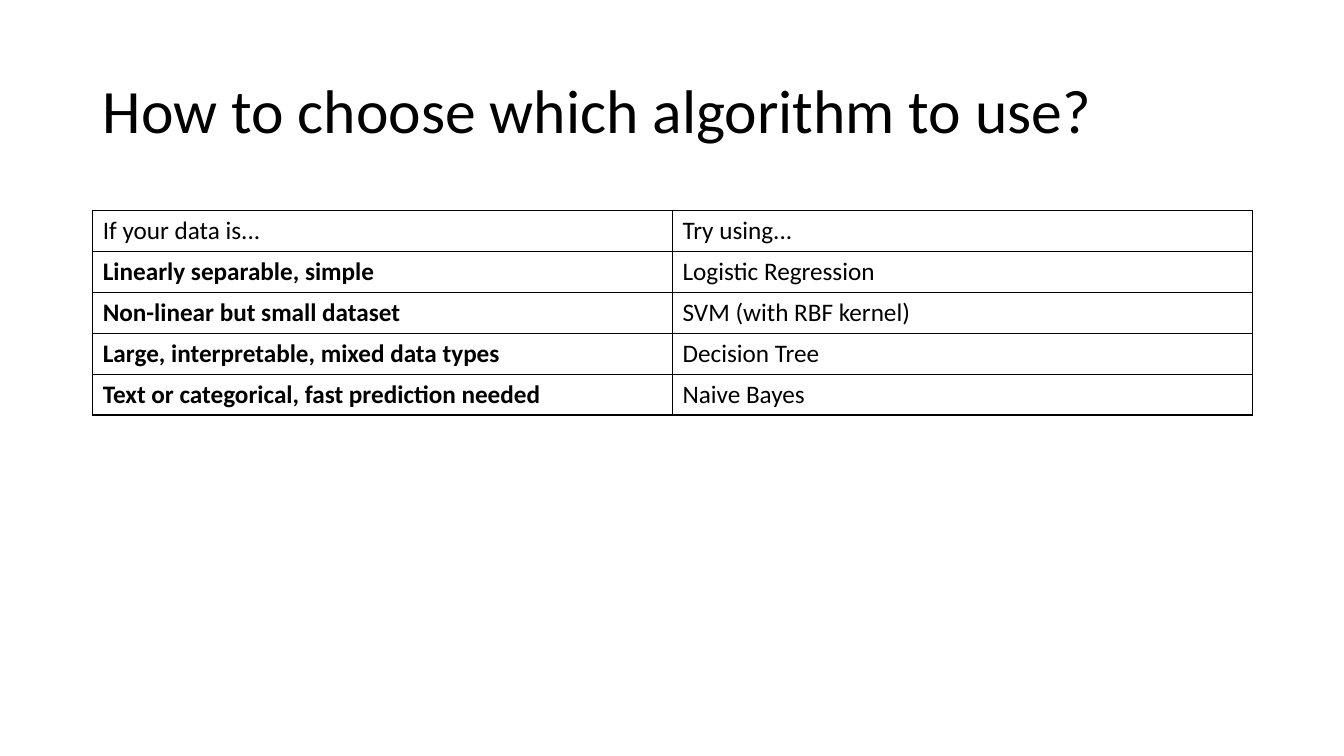
from lxml import etree
from pptx import Presentation
from pptx.dml.color import RGBColor
from pptx.enum.text import MSO_ANCHOR, PP_ALIGN
from pptx.oxml.ns import qn
from pptx.util import Inches, Pt

MIDDLE = MSO_ANCHOR.MIDDLE
LEFT = PP_ALIGN.LEFT
COLORS = {"ink": "000000"}
FONT = "Calibri"
MARGIN, CONTENT_WIDTH = 0.92, 11.5
TITLE_BOX = (MARGIN, 0.4, CONTENT_WIDTH, 1.45)
GUIDE_BOX = (MARGIN, 2.09, CONTENT_WIDTH, 2)
GUIDE = [
    ("If your data is...", "Try using..."),
    ("Linearly separable, simple", "Logistic Regression"),
    ("Non-linear but small dataset", "SVM (with RBF kernel)"),
    ("Large, interpretable, mixed data types", "Decision Tree"),
    ("Text or categorical, fast prediction needed", "Naive Bayes"),
]


def write(frame, text, size, bold=False, line_spacing=1.0):
    paragraph = frame.paragraphs[0]
    paragraph.alignment = LEFT
    paragraph.line_spacing = line_spacing
    run = paragraph.add_run()
    run.text = text
    run.font.name = FONT
    run.font.size = Pt(size)
    run.font.bold = bold
    run.font.color.rgb = RGBColor.from_string(COLORS["ink"])


def outline_cell(cell, width=1):
    """Draw all four borders; they must precede the fill in the cell's XML."""
    properties = cell._tc.get_or_add_tcPr()
    for position, side in enumerate(("a:lnL", "a:lnR", "a:lnT", "a:lnB")):
        border = etree.Element(qn(side), w=str(Pt(width)))
        fill = etree.SubElement(border, qn("a:solidFill"))
        etree.SubElement(fill, qn("a:srgbClr"), val=COLORS["ink"])
        properties.insert(position, border)


def add_title(slide, box, text):
    title = slide.shapes.title
    title.left, title.top, title.width, title.height = map(Inches, box)
    title.text_frame.word_wrap = True
    title.text_frame.vertical_anchor = MIDDLE
    write(title.text_frame, text, size=44, line_spacing=0.9)


def add_guide_table(slide, box, rows):
    table = slide.shapes.add_table(len(rows), len(rows[0]), *map(Inches, box)).table
    table.first_row = table.horz_banding = False
    for row_index, row in enumerate(rows):
        for column_index, text in enumerate(row):
            cell = table.cell(row_index, column_index)
            cell.vertical_anchor = MIDDLE
            cell.fill.background()
            outline_cell(cell)
            write(cell.text_frame, text, size=18,
                  bold=row_index > 0 and column_index == 0)


def main():
    deck = Presentation()
    deck.slide_width, deck.slide_height = Inches(13.33), Inches(7.5)
    slide = deck.slides.add_slide(deck.slide_layouts.get_by_name("Title Only"))
    add_title(slide, TITLE_BOX, "How to choose which algorithm to use?")
    add_guide_table(slide, GUIDE_BOX, GUIDE)
    deck.save("out.pptx")


if __name__ == "__main__":
    main()
